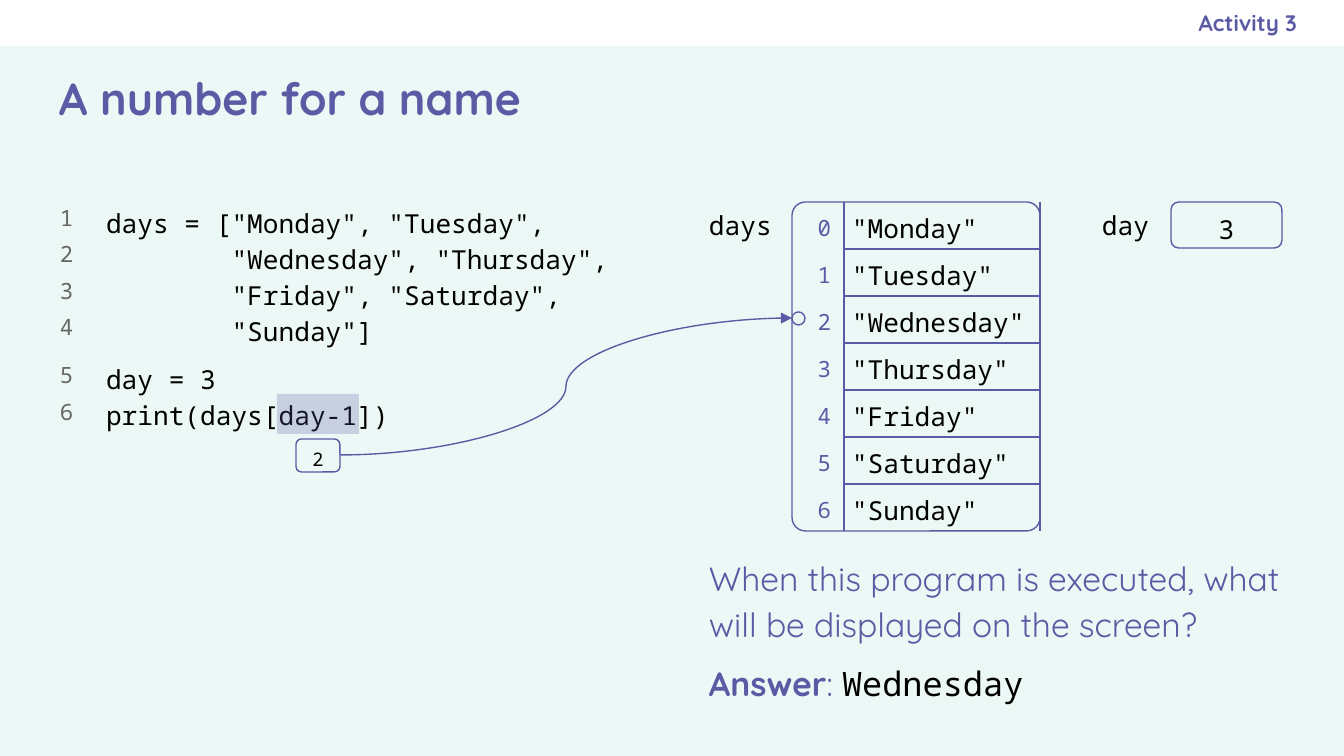
from lxml import etree
from pptx import Presentation
from pptx.dml.color import RGBColor
from pptx.enum.shapes import MSO_CONNECTOR, MSO_SHAPE
from pptx.enum.text import MSO_ANCHOR, PP_ALIGN
from pptx.oxml.ns import qn
from pptx.util import Emu, Pt

RECT, ROUND, OVAL = MSO_SHAPE.RECTANGLE, MSO_SHAPE.ROUNDED_RECTANGLE, MSO_SHAPE.OVAL
CURVE = MSO_CONNECTOR.CURVE
LEFT, CENTER, RIGHT = PP_ALIGN.LEFT, PP_ALIGN.CENTER, PP_ALIGN.RIGHT
TOP, MIDDLE = MSO_ANCHOR.TOP, MSO_ANCHOR.MIDDLE

MONO, SANS = "Noto Sans Mono", "Quicksand"
INK, BLACK, GREY, WHITE, MINT = "5B5BA5", "000000", "666666", "FFFFFF", "ECF8F5"
THIN = Pt(0.75)
PAD = (13, 13, 13, 13)


def px(n):
    return Emu(round(n * 914400 / 134.4))


def rgb(code):
    return RGBColor.from_string(code)


class Page:
    def __init__(self, deck):
        self.slide = deck.slides.add_slide(deck.slide_layouts[5])
        self.shapes = self.slide.shapes
        fill = self.slide.background.fill
        fill.solid()
        fill.fore_color.rgb = rgb(MINT)

    def font(self, run, size, color, face, bold=False):
        run.font.size = Pt(size)
        run.font.name = face
        run.font.bold = bold
        run.font.color.rgb = rgb(color)

    def label(self, frame, text, size, color, face=MONO, bold=False,
              align=LEFT, anchor=TOP, pad=PAD, lead=1.15):
        frame.text = text
        frame.word_wrap = True
        frame.vertical_anchor = anchor
        (frame.margin_left, frame.margin_top,
         frame.margin_right, frame.margin_bottom) = map(px, pad)
        for para in frame.paragraphs:
            para.alignment = align
            para.line_spacing = lead
            for run in para.runs:
                self.font(run, size, color, face, bold)
        return frame.paragraphs

    def title(self, box, text):
        shape = self.shapes.title
        shape.left, shape.top, shape.width, shape.height = map(px, box)
        self.label(shape.text_frame, text, 24, INK, SANS, True,
                   anchor=MIDDLE, lead=1.0)

    def text(self, box, text, size, color, **style):
        shape = self.shapes.add_textbox(*map(px, box))
        return self.label(shape.text_frame, text, size, color, **style)

    def shape(self, kind, box, fill=None, alpha=None, curve=None):
        shape = self.shapes.add_shape(kind, *map(px, box))
        shape.shadow.inherit = False
        if curve:
            shape.adjustments[0] = curve
        if fill:
            shape.fill.solid()
            shape.fill.fore_color.rgb = rgb(fill)
            shape.line.fill.background()
        else:
            shape.fill.background()
            shape.line.color.rgb = rgb(INK)
            shape.line.width = THIN
        if alpha:
            tint = shape._element.spPr.find(".//" + qn("a:srgbClr"))
            etree.SubElement(tint, qn("a:alpha"), val=str(alpha * 1000))
        return shape

    def value(self, box, text, size, side):
        shape = self.shape(ROUND, box, curve=0.167)
        self.label(shape.text_frame, text, size, BLACK, align=CENTER,
                   anchor=MIDDLE, pad=(side, 3, side, 0))

    def edges(self, cell, sides):
        props = cell._tc.get_or_add_tcPr()
        for spot, side in enumerate("LRTB"):
            line = etree.Element(qn("a:ln" + side), w=str(int(THIN)))
            if side in sides:
                fill = etree.SubElement(line, qn("a:solidFill"))
                etree.SubElement(fill, qn("a:srgbClr"), val=INK)
            else:
                etree.SubElement(line, qn("a:noFill"))
            props.insert(spot, line)

    def table(self, x, y, names, widths, step):
        box = (x, y, sum(widths), step * len(names))
        table = self.shapes.add_table(len(names), 2, *map(px, box)).table
        table.first_row = table.horz_banding = False
        for col, width in zip(table.columns, widths):
            col.width = px(width)
        for i, name in enumerate(names):
            table.rows[i].height = px(step)
            top = "T" if i else ""
            low = "B" if i < len(names) - 1 else ""
            parts = [(str(i), 12, INK, RIGHT, "R"),
                     (f'"{name}"', 14, BLACK, LEFT, "LR" + top + low)]
            for j, (text, size, color, align, sides) in enumerate(parts):
                cell = table.cell(i, j)
                cell.fill.background()
                self.edges(cell, sides)
                cell.vertical_anchor = MIDDLE
                cell.margin_left, cell.margin_right = px(8), px(13)
                cell.margin_top = cell.margin_bottom = 0
                para = cell.text_frame.paragraphs[0]
                para.text = text
                para.alignment = align
                para.line_spacing = 1.15
                self.font(para.runs[0], size, color, MONO)

    def arrow(self, x1, y1, x2, y2):
        link = self.shapes.add_connector(CURVE, *map(px, (x1, y1, x2, y2)))
        link.line.color.rgb = rgb(INK)
        link.line.width = THIN
        props = link._element.spPr
        etree.SubElement(props.find(qn("a:ln")), qn("a:tailEnd"), type="triangle")
        etree.SubElement(props, qn("a:effectLst"))


def main():
    deck = Presentation()
    deck.slide_width, deck.slide_height = px(1344), px(756)
    page = Page(deck)

    # Header
    page.shape(RECT, (0, 0, 1344, 46), WHITE)
    page.title((46, 46, 1252, 103), "A number for a name")
    page.text((773, 0, 524, 46), "Activity 3", 12, INK, face=SANS, bold=True,
              align=RIGHT, anchor=MIDDLE, pad=(13, 13, 0, 13), lead=1.0)

    # Program with line numbers
    code = ['days = ["Monday", "Tuesday",',
            '        "Wednesday", "Thursday",',
            '        "Friday", "Saturday",',
            '        "Sunday"]',
            'day = 3',
            'print(days[day-1])']
    rows = page.text((93, 190, 531, 370), "\n".join(code), 14, BLACK)
    rows[4].space_before = Pt(6)
    count = "\n".join(str(n + 1) for n in range(len(code)))
    marks = page.text((47, 192, 40, 329), count, 12, GREY, pad=(13, 8, 13, 13))
    for mark in marks[1:]:
        mark.space_before = Pt(3)
    marks[4].space_before = Pt(9)

    # List and variable
    names = ["Monday", "Tuesday", "Wednesday", "Thursday",
             "Friday", "Saturday", "Sunday"]
    page.shape(ROUND, (792, 202, 248, 329), curve=0.054)
    page.table(792, 202, names, (52, 196), 47)
    page.text((696, 192, 91, 54), "days", 14, BLACK)
    page.value((1171, 202, 111, 46), "3", 14, 13)
    page.text((1089, 192, 82, 54), "day", 14, BLACK)

    # Question and answer
    prose = dict(face=SANS, pad=(13, 13, 8, 13), lead=1.14)
    page.text((696, 539, 601, 118),
              "When this program is executed, what will be displayed on the screen?",
              18, INK, **prose)
    reply = page.text((696, 644, 601, 70), "Answer", 18, INK, bold=True, **prose)[0]
    for part, color, face in [(": ", INK, SANS), ("Wednesday", BLACK, MONO)]:
        run = reply.add_run()
        run.text = part
        page.font(run, 18, color, face)

    # Index value pointing into the list
    page.shape(RECT, (277, 394, 82, 40), INK, alpha=25)
    page.value((296, 439, 44, 33), "2", 10, 0)
    page.arrow(340, 455, 792, 318)
    page.shape(OVAL, (792, 312, 13, 13))

    deck.save("out.pptx")


if __name__ == "__main__":
    main()
